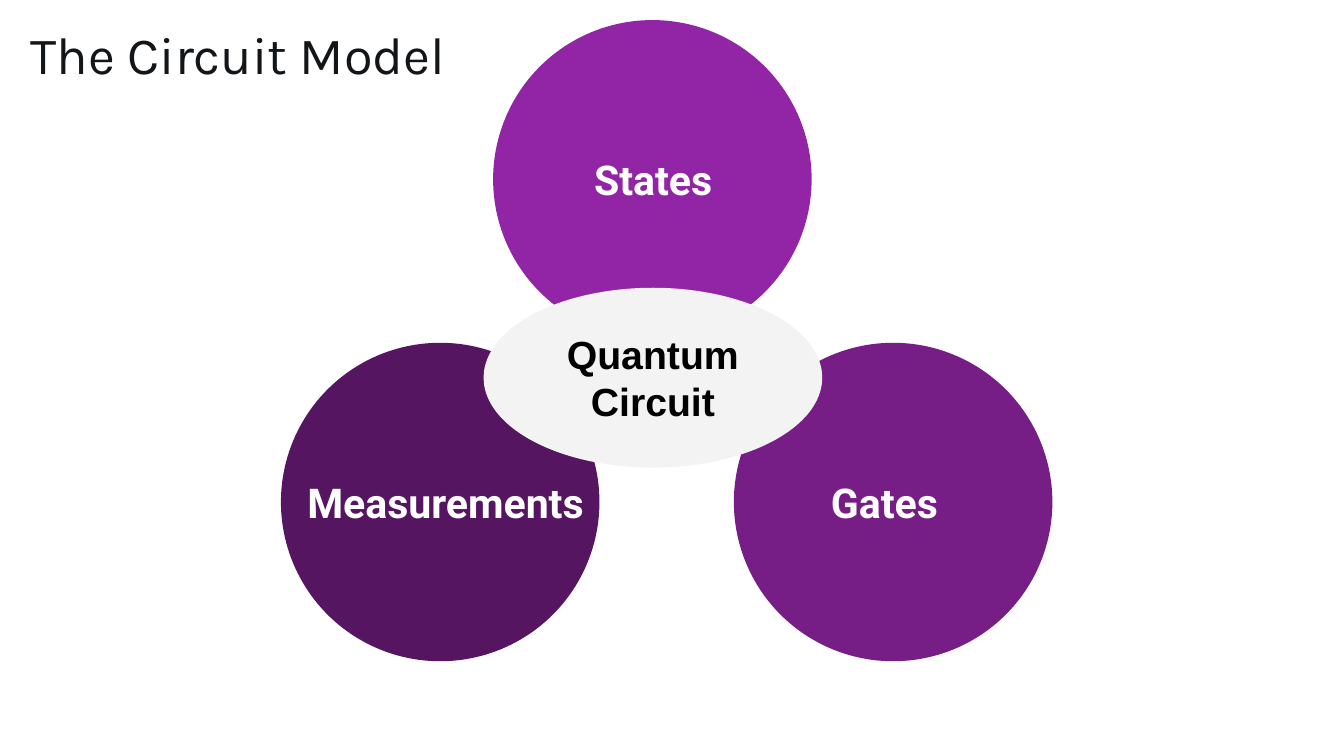
"""Build the slide on the three parts of the quantum circuit model."""
from pptx import Presentation
from pptx.dml.color import RGBColor
from pptx.enum import shapes, text
from pptx.util import Cm, Pt

THEME = {
    "states": "9225A5",
    "gates": "761E86",
    "measurements": "551561",
    "core": "F3F3F3",
    "title": {"name": "Karla", "size": Pt(28), "bold": False, "color": "121619"},
    "label": {"name": "Roboto", "size": Pt(22), "bold": True, "color": "FFFFFF"},
    "core_text": {"name": "Arial", "size": Pt(21), "bold": True, "color": "000000"},
}


def write(holder, lines, font_format, align, anchor, inset, line_spacing=1.0):
    """Fill a text frame with formatted paragraphs."""
    frame = holder.text_frame
    frame_format = {
        "word_wrap": True,
        "auto_size": text.MSO_AUTO_SIZE.NONE,
        "vertical_anchor": anchor,
        "margin_left": inset,
        "margin_top": inset,
        "margin_right": inset,
        "margin_bottom": inset,
    }
    for key, value in frame_format.items():
        setattr(frame, key, value)
    frame.text = "\n".join(lines)
    for paragraph in frame.paragraphs:
        paragraph.alignment = align
        paragraph.line_spacing = line_spacing
        font = paragraph.runs[0].font
        for key in ("name", "size", "bold"):
            setattr(font, key, font_format[key])
        font.color.rgb = RGBColor.from_string(font_format["color"])


def add_ellipse(parent, left, top, width, height, color):
    """Add a flat ellipse without outline."""
    ellipse = parent.add_shape(
        shapes.MSO_SHAPE.OVAL, Cm(left), Cm(top), Cm(width), Cm(height))
    ellipse.shadow.inherit = False
    ellipse.fill.solid()
    ellipse.fill.fore_color.rgb = RGBColor.from_string(color)
    ellipse.line.fill.background()
    return ellipse


deck = Presentation()
deck.slide_width, deck.slide_height = Cm(25.4), Cm(14.29)
slide = deck.slides.add_slide(deck.slide_layouts[5])

title = slide.shapes.title
title_place = {"left": Cm(0.58), "top": Cm(0.56), "width": Cm(18.47), "height": Cm(1.75)}
for key, value in title_place.items():
    setattr(title, key, value)
write(title, ["The Circuit Model"], THEME["title"], text.PP_ALIGN.LEFT,
      text.MSO_ANCHOR.TOP, 0, 0.9)

DIAMETER, LABEL_DROP, LABEL_HEIGHT, INSET = 6.02, 2.03, 1.96, Cm(0.25)
parts = [
    ("States", "states", 9.32, 0.38, 10.26, 4.17),
    ("Gates", "gates", 13.87, 6.48, 14.63, 4.17),
    ("Measurements", "measurements", 5.31, 6.48, 5.51, 5.82),
]
for name, color, left, top, label_left, label_width in parts:
    part = slide.shapes.add_group_shape()
    add_ellipse(part.shapes, left, top, DIAMETER, DIAMETER, THEME[color])
    label = part.shapes.add_textbox(
        Cm(label_left), Cm(top + LABEL_DROP), Cm(label_width), Cm(LABEL_HEIGHT))
    write(label, [name], THEME["label"], text.PP_ALIGN.CENTER,
          text.MSO_ANCHOR.MIDDLE, INSET)

core = add_ellipse(slide.shapes, 9.14, 5.44, 6.4, 3.4, THEME["core"])
write(core, ["Quantum", "Circuit"], THEME["core_text"], text.PP_ALIGN.CENTER,
      text.MSO_ANCHOR.MIDDLE, INSET)

deck.save("out.pptx")
